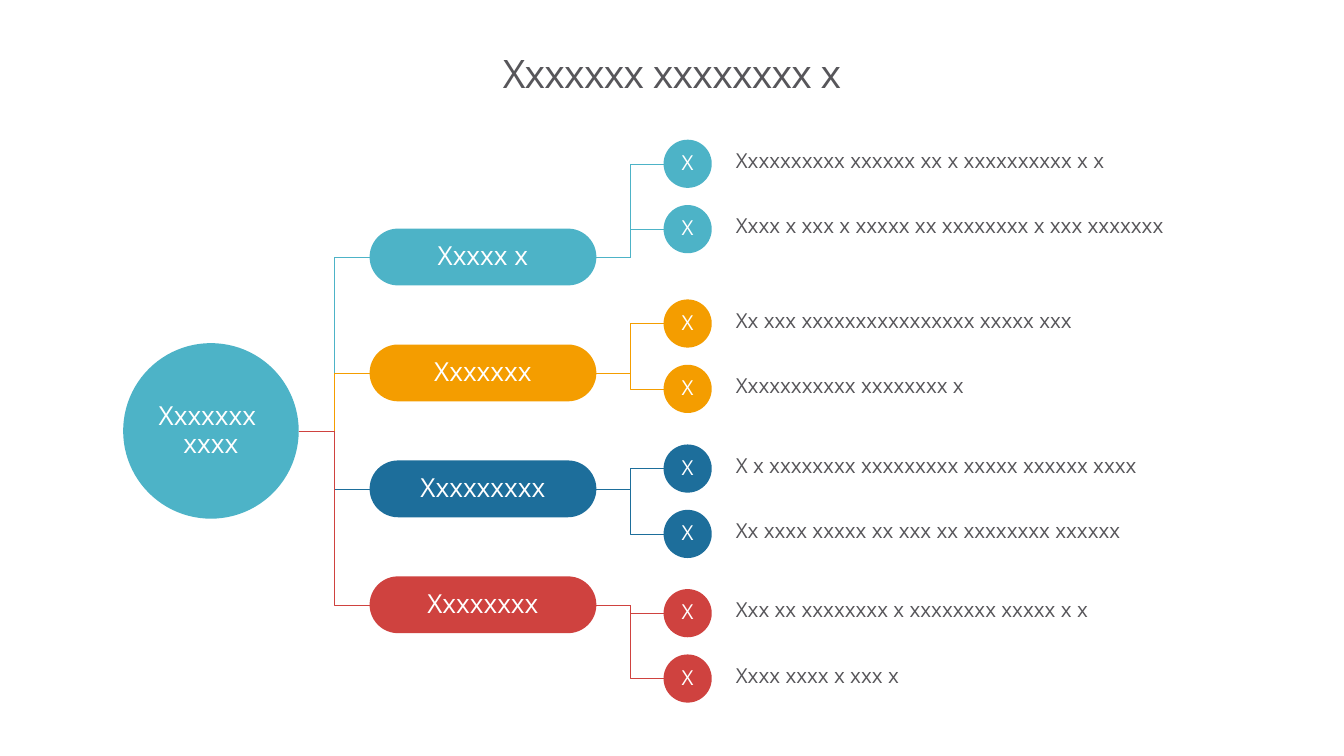
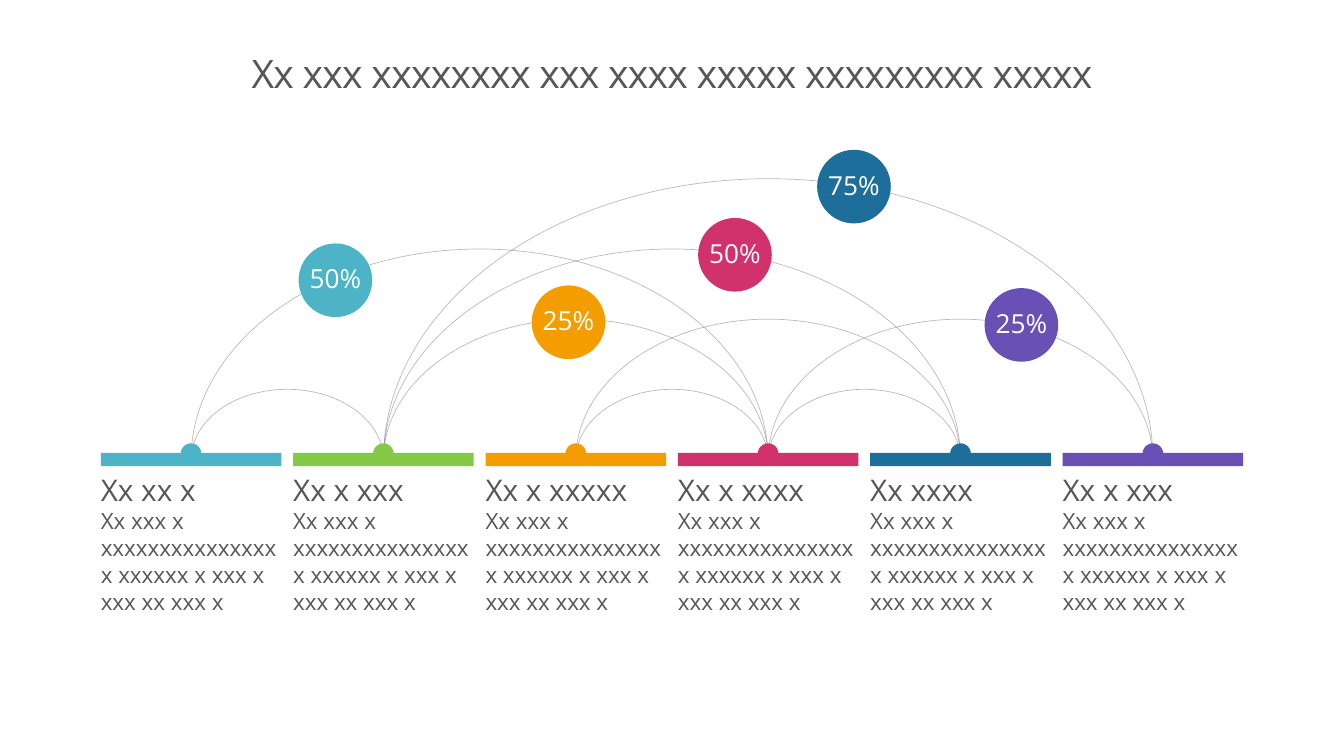
from collections import namedtuple

from lxml import etree
from pptx import Presentation
from pptx.dml.color import RGBColor
from pptx.enum.shapes import MSO_CONNECTOR, MSO_SHAPE
from pptx.enum.text import MSO_ANCHOR, MSO_AUTO_SIZE, PP_ALIGN
from pptx.oxml.ns import qn
from pptx.util import Pt

FONT = "Open Sans"
GREY = RGBColor(0x57, 0x56, 0x5A)
WHITE = RGBColor(0xFF, 0xFF, 0xFF)
TEAL = RGBColor(0x4D, 0xB3, 0xC7)
ORANGE = RGBColor(0xF4, 0x9D, 0x00)
BLUE = RGBColor(0x1D, 0x6E, 0x9B)
RED = RGBColor(0xCF, 0x42, 0x3F)
GREEN = RGBColor(0x85, 0xCA, 0x46)
PINK = RGBColor(0xD2, 0x32, 0x6B)
PURPLE = RGBColor(0x68, 0x50, 0xB4)

Box = namedtuple("Box", "left top width height")
TITLE_BOX = Box(72, 22.3, 816, 64)
TREE_BOX = Box(88, 99.7, 834, 402)
ARCS_BOX = Box(72, 107, 816, 338)

BRANCHES = [
    ("Xxxxx x", TEAL, 17.3,
     ["Xxxxxxxxxx xxxxxx xx x xxxxxxxxxx x x",
      "Xxxx x xxx x xxxxx xx xxxxxxxx x xxx xxxxxxx"]),
    ("Xxxxxxx", ORANGE, 131.4,
     ["Xx xxx xxxxxxxxxxxxxxxx xxxxx xxx", "Xxxxxxxxxxx xxxxxxxx x"]),
    ("Xxxxxxxxx", BLUE, 235,
     ["X x xxxxxxxx xxxxxxxxx xxxxx xxxxxx xxxx",
      "Xx xxxx xxxxx xx xxx xx xxxxxxxx xxxxxx"]),
    ("Xxxxxxxx", RED, 338.3,
     ["Xxx xx xxxxxxxx x xxxxxxxx xxxxx x x", "Xxxx xxxx x xxx x"]),
]
COLUMNS = [("Xx xx x", TEAL), ("Xx x xxx", GREEN), ("Xx x xxxxx", ORANGE),
           ("Xx x xxxx", PINK), ("Xx xxxx", BLUE), ("Xx x xxx", PURPLE)]
COLUMN_BODY = "Xx xxx x xxxxxxxxxxxxxxx x xxxxxx x xxx x xxx xx xxx x"
ARCS = [(0, 1), (2, 3), (0, 3), (1, 5), (3, 4), (3, 5), (2, 4), (1, 3), (1, 4)]
BUBBLES = [("50%", TEAL, 167.6, 93.2), ("50%", PINK, 453, 75),
           ("75%", BLUE, 538, 26.3), ("25%", ORANGE, 334.1, 123.2),
           ("25%", PURPLE, 657.6, 125.1)]


def write(frame, text, *, size, color=GREY, align=PP_ALIGN.LEFT, spacing=None,
          tracking=None, anchor=MSO_ANCHOR.TOP, insets=(0, 0, 0, 0),
          wrap=True, added=False):
    frame.word_wrap = wrap
    frame.vertical_anchor = anchor
    (frame.margin_left, frame.margin_top,
     frame.margin_right, frame.margin_bottom) = map(Pt, insets)
    paragraph = frame.add_paragraph() if added else frame.paragraphs[0]
    paragraph.text = text
    paragraph.alignment = align
    paragraph.line_spacing = spacing
    for run in paragraph.runs:
        run.font.name = FONT
        run.font.size = Pt(size)
        run.font.color.rgb = color
        if tracking is not None:
            run.font._element.set("spc", str(round(tracking * 100)))


def add_solid(slide, kind, box, color, text=None, **text_format):
    solid = slide.shapes.add_shape(kind, *map(Pt, box))
    solid.shadow.inherit = False
    solid.fill.solid()
    solid.fill.fore_color.rgb = color
    solid.line.fill.background()
    if text:
        write(solid.text_frame, text, color=WHITE, align=PP_ALIGN.CENTER,
              spacing=0.9, anchor=MSO_ANCHOR.MIDDLE, **text_format)
    return solid


def add_disc(slide, x, y, diameter, color, text, **text_format):
    box = Box(x - diameter / 2, y - diameter / 2, diameter, diameter)
    return add_solid(slide, MSO_SHAPE.OVAL, box, color, text, **text_format)


def add_label(slide, box):
    label = slide.shapes.add_textbox(*map(Pt, box))
    label.text_frame.auto_size = MSO_AUTO_SIZE.SHAPE_TO_FIT_TEXT
    return label.text_frame


def add_elbow(slide, start, end, color):
    elbow = slide.shapes.add_connector(MSO_CONNECTOR.ELBOW,
                                       *map(Pt, start + end))
    elbow.line.color.rgb = color
    elbow.line.width = Pt(0.25)
    etree.SubElement(elbow._element.spPr, qn("a:effectLst"))
    return elbow


def add_arc(slide, left, right, base):
    width = right - left
    height = 0.73 * width
    arc = slide.shapes.add_shape(
        MSO_SHAPE.ARC, *map(Pt, (left, base - height / 2, width, height)))
    arc.adjustments[0], arc.adjustments[1] = 108.53, 0
    arc.shadow.inherit = False
    arc.fill.background()
    arc.line.color.rgb = GREY
    arc.line.width = Pt(0.5)
    tint = arc.line._ln.find(".//" + qn("a:srgbClr"))
    etree.SubElement(tint, qn("a:alpha"), val="40000")


def add_titled_slide(deck, text):
    slide = deck.slides.add_slide(deck.slide_layouts[5])
    title = slide.shapes.title
    title.left, title.top, title.width, title.height = map(Pt, TITLE_BOX)
    write(title.text_frame, text, size=28, align=PP_ALIGN.CENTER,
          spacing=0.86, tracking=-0.5, anchor=MSO_ANCHOR.MIDDLE)
    return slide


def add_items(slide, pill, start, box, texts, color):
    diameter, pitch = 34.4, 46.7
    for index, text in enumerate(texts):
        y = box.top + index * pitch
        link = add_elbow(slide, start, (box.left, y), color)
        link.begin_connect(pill, 3)
        label_left = box.left + 32.2
        label = add_label(slide, Box(label_left, y - 12.8,
                                     box.left + box.width - label_left, 27.4))
        write(label, text, size=14.7, spacing=0.89,
              insets=(19.4, 3.6, 19.4, 7.9))
        add_disc(slide, box.left + diameter / 2, y, diameter, color, "X",
                 size=14.7, wrap=False)


def add_tree(slide, box, root_text, branches):
    root_size, pill_width, pill_height, pitch = 125.4, 162, 40.6, 82.8
    pill_left, items_left = box.left + 176, box.left + 386
    first_y = box.top + 83.9
    root_y = first_y + pitch * (len(branches) - 1) / 2
    add_disc(slide, box.left + root_size / 2, root_y, root_size, TEAL,
             root_text, size=18.7)
    for index, (name, color, items_top, texts) in enumerate(branches):
        y = first_y + index * pitch
        pill = add_solid(
            slide, MSO_SHAPE.ROUNDED_RECTANGLE,
            Box(pill_left, y - pill_height / 2, pill_width, pill_height),
            color, name, size=18.7, insets=(3.6,) * 4)
        pill.adjustments[0] = 0.5
        branch = add_elbow(slide, (box.left + root_size, root_y),
                           (pill_left, y), color)
        branch.end_connect(pill, 1)
        items = Box(items_left, box.top + items_top,
                    box.left + box.width - items_left, 82)
        add_items(slide, pill, (pill_left + pill_width, y), items, texts,
                  color)


def add_column(slide, box, heading, color):
    dot = 14.8
    add_solid(slide, MSO_SHAPE.RECTANGLE, Box(*box[:3], 9.5), color)
    half_dot = add_solid(
        slide, MSO_SHAPE.PIE,
        Box(box.left + (box.width - dot) / 2, box.top + 0.6 - dot / 2,
            dot, dot), color)
    half_dot.adjustments[0], half_dot.adjustments[1] = 108, 0
    label = add_label(slide, Box(box.left, box.top + 9.9, box.width, 111))
    for text, size, added in ((heading, 21.3, False), (COLUMN_BODY, 16, True)):
        write(label, text, size=size, added=added, insets=(0, 3.6, 0, 3.6))


def add_arc_diagram(slide, box, columns, arcs, bubbles):
    column_width = 129
    pitch = (box.width - column_width) / (len(columns) - 1)
    bar_top = box.top + 216.5
    centers = [box.left + column_width / 2 + index * pitch
               for index in range(len(columns))]
    for first, last in arcs:
        add_arc(slide, centers[first], centers[last], bar_top + 4.8)
    for text, color, x, y in bubbles:
        add_disc(slide, box.left + x, box.top + y, 52.6, color, text,
                 size=18.7, wrap=False)
    for center, (heading, color) in zip(centers, columns):
        column = Box(center - column_width / 2, bar_top, column_width, 121)
        add_column(slide, column, heading, color)


def main():
    deck = Presentation()
    deck.slide_width, deck.slide_height = Pt(960), Pt(540)
    tree_slide = add_titled_slide(deck, "Xxxxxxx xxxxxxxx x")
    add_tree(tree_slide, TREE_BOX, "Xxxxxxx \nxxxx", BRANCHES)
    arc_slide = add_titled_slide(
        deck, "Xx xxx xxxxxxxx xxx xxxx xxxxx xxxxxxxxx xxxxx")
    add_arc_diagram(arc_slide, ARCS_BOX, COLUMNS, ARCS, BUBBLES)
    deck.save("out.pptx")


if __name__ == "__main__":
    main()
